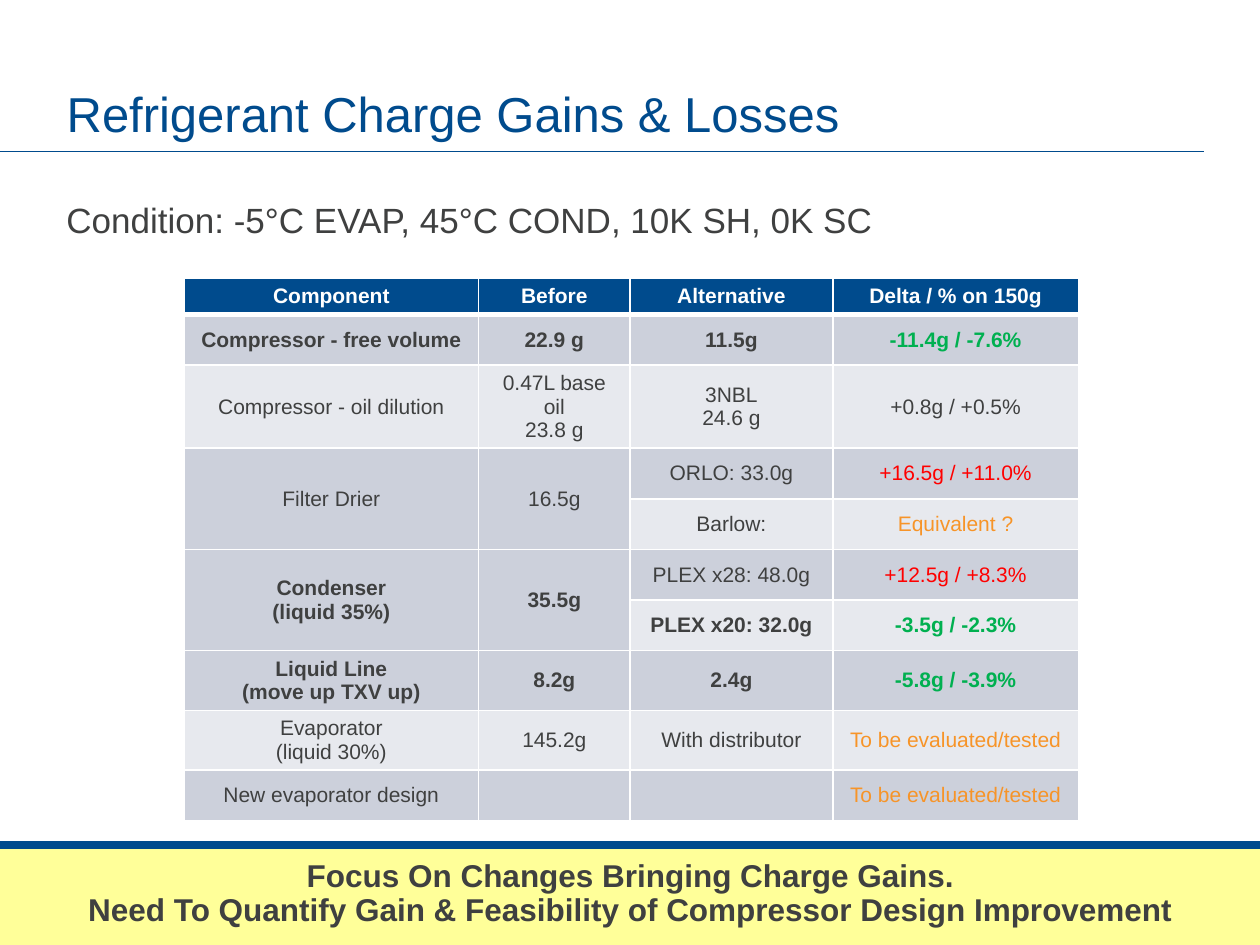
import pptx
import pptx.dml.color
import pptx.enum.shapes
import pptx.enum.text
import pptx.oxml
import pptx.oxml.ns
import pptx.util
from lxml import etree

Cm = pptx.util.Cm
Pt = pptx.util.Pt
Align = pptx.enum.text.PP_ALIGN
Anchor = pptx.enum.text.MSO_ANCHOR

BLUE, GREY, WHITE, YELLOW = "004B8D", "3F4040", "FFFFFF", "FFFF99"
GREEN, RED, ORANGE = "00B050", "FF0000", "F79428"
BANDS = ["CCD0DB", "E7E9EE"]

TITLE = "Refrigerant Charge Gains & Losses"
CONDITION = "Condition: -5°C EVAP, 45°C COND, 10K SH, 0K SC"
MESSAGE = [
    "Focus On Changes Bringing Charge Gains.",
    "Need To Quantify Gain & Feasibility of Compressor Design Improvement",
]
HEADINGS = ["Component", "Before", "Alternative", "Delta / % on 150g"]
COMPONENTS = [
    (["Compressor - free volume"], ["22.9 g"], True,
     [(["11.5g"], "-11.4g / -7.6%", GREEN, True)]),
    (["Compressor - oil dilution"], ["0.47L base oil", "23.8 g"], False,
     [(["3NBL", "24.6 g"], "+0.8g / +0.5%", GREY, False)]),
    (["Filter Drier"], ["16.5g"], False,
     [(["ORLO: 33.0g"], "+16.5g / +11.0%", RED, False),
      (["Barlow:"], "Equivalent ?", ORANGE, False)]),
    (["Condenser", "(liquid 35%)"], ["35.5g"], True,
     [(["PLEX x28: 48.0g"], "+12.5g / +8.3%", RED, False),
      (["PLEX x20: 32.0g"], "-3.5g / -2.3%", GREEN, True)]),
    (["Liquid Line", "(move up TXV up)"], ["8.2g"], True,
     [(["2.4g"], "-5.8g / -3.9%", GREEN, True)]),
    (["Evaporator", "(liquid 30%)"], ["145.2g"], False,
     [(["With distributor"], "To be evaluated/tested", ORANGE, False)]),
    (["New evaporator design"], [], False,
     [([], "To be evaluated/tested", ORANGE, False)]),
]
COLUMN_WIDTHS = [5.94, 3.05, 4.09, 4.95]
HEADER_HEIGHT, ROW_HEIGHT = 0.69, 1.02


def rgb(value):
    return pptx.dml.color.RGBColor.from_string(value)


def paint(target, color):
    target.fill.solid()
    target.fill.fore_color.rgb = rgb(color)


def write(frame, lines, size, color, bold=False, align=Align.CENTER, spacing=None):
    for index, line in enumerate(lines):
        paragraph = frame.add_paragraph() if index else frame.paragraphs[0]
        paragraph.alignment = align
        paragraph.space_before = Pt(0)
        if spacing:
            paragraph.line_spacing = spacing
        run = paragraph.add_run()
        run.text = line
        run.font.name = "Arial"
        run.font.size = Pt(size)
        run.font.bold = bold
        run.font.color.rgb = rgb(color)


def place(shape, left, top, width, height):
    shape.left, shape.top = Cm(left), Cm(top)
    shape.width, shape.height = Cm(width), Cm(height)


def add_rule(shapes, y, length, weight):
    rule = shapes.add_connector(
        pptx.enum.shapes.MSO_CONNECTOR.STRAIGHT, 0, Cm(y), Cm(length), Cm(y))
    rule.line.color.rgb = rgb(BLUE)
    rule.line.width = Pt(weight)
    etree.SubElement(rule._element.spPr, pptx.oxml.ns.qn("a:effectLst"))
    return rule


def border(cell, top, bottom):
    properties = cell._tc.get_or_add_tcPr()
    for side, weight in (("L", 1), ("R", 1), ("T", top), ("B", bottom)):
        properties.append(pptx.oxml.parse_xml(
            f'<a:ln{side} {pptx.oxml.ns.nsdecls("a")} w="{Pt(weight)}">'
            f'<a:solidFill><a:srgbClr val="{WHITE}"/></a:solidFill></a:ln{side}>'))


def fill_cell(cell, lines, color, bold):
    cell.margin_left = cell.margin_right = Cm(0.28)
    cell.vertical_anchor = Anchor.MIDDLE
    write(cell.text_frame, lines, 12, color, bold)


def add_charge_table(shapes):
    count = 1 + sum(len(options) for *_, options in COMPONENTS)
    table = shapes.add_table(
        count, len(HEADINGS), Cm(3.71), Cm(5.61), Cm(sum(COLUMN_WIDTHS)),
        Cm(HEADER_HEIGHT + ROW_HEIGHT * (count - 1))).table
    for column, width in zip(table.columns, COLUMN_WIDTHS):
        column.width = Cm(width)
    for index, row in enumerate(table.rows):
        row.height = Cm(ROW_HEIGHT if index else HEADER_HEIGHT)
        for cell in row.cells:
            border(cell, 3 if index == 1 else 1, 1 if index else 3)
            paint(cell, BANDS[(index - 1) % 2] if index else BLUE)
    for column, heading in enumerate(HEADINGS):
        fill_cell(table.cell(0, column), [heading], WHITE, True)
        table.cell(0, column).vertical_anchor = Anchor.TOP
    row = 1
    for component, before, bold, options in COMPONENTS:
        for column, lines in enumerate((component, before)):
            cell = table.cell(row, column)
            if len(options) > 1:
                cell.merge(table.cell(row + len(options) - 1, column))
            fill_cell(cell, lines, GREY, bold)
        for alternative, delta, color, chosen in options:
            fill_cell(table.cell(row, 2), alternative, GREY, chosen)
            fill_cell(table.cell(row, 3), [delta], color, chosen)
            row += 1


def main():
    deck = pptx.Presentation()
    deck.slide_width, deck.slide_height = Cm(25.4), Cm(19.05)
    slide = deck.slides.add_slide(deck.slide_layouts[1])
    shapes = slide.shapes
    title, message = slide.placeholders

    band = shapes.add_shape(
        pptx.enum.shapes.MSO_SHAPE.RECTANGLE, 0, Cm(17.04), Cm(25.4), Cm(2.01))
    band.shadow.inherit = False
    band.line.fill.background()
    paint(band, YELLOW)
    backdrop = [add_rule(shapes, 3.05, 24.28, 0.75), band,
                add_rule(shapes, 17.04, 25.4, 4.5)]
    for position, part in enumerate(backdrop, 2):
        shapes._spTree.insert(position, part._element)

    place(title, 1.09, 0.36, 23.22, 2.64)
    title.text_frame.auto_size = pptx.enum.text.MSO_AUTO_SIZE.NONE
    title.text_frame.vertical_anchor = Anchor.BOTTOM
    write(title.text_frame, [TITLE], 28, BLUE, align=Align.LEFT, spacing=0.85)

    place(message, 0.3, 17.35, 24.82, 1.7)
    paint(message, YELLOW)
    message.text_frame.auto_size = pptx.enum.text.MSO_AUTO_SIZE.NONE
    message.text_frame.margin_top = 0
    write(message.text_frame, MESSAGE, 18, GREY, bold=True, spacing=0.9)
    for paragraph in message.text_frame.paragraphs:
        properties = paragraph._p.get_or_add_pPr()
        properties.set("marL", "0")
        properties.set("indent", "0")
        etree.SubElement(properties, pptx.oxml.ns.qn("a:buNone"))

    add_charge_table(shapes)

    condition = shapes.add_textbox(Cm(1.09), Cm(3.84), Cm(18.52), Cm(1.14))
    condition.text_frame.word_wrap = True
    write(condition.text_frame, [CONDITION], 20, GREY, align=Align.LEFT, spacing=1.05)

    deck.save("out.pptx")


if __name__ == "__main__":
    main()
